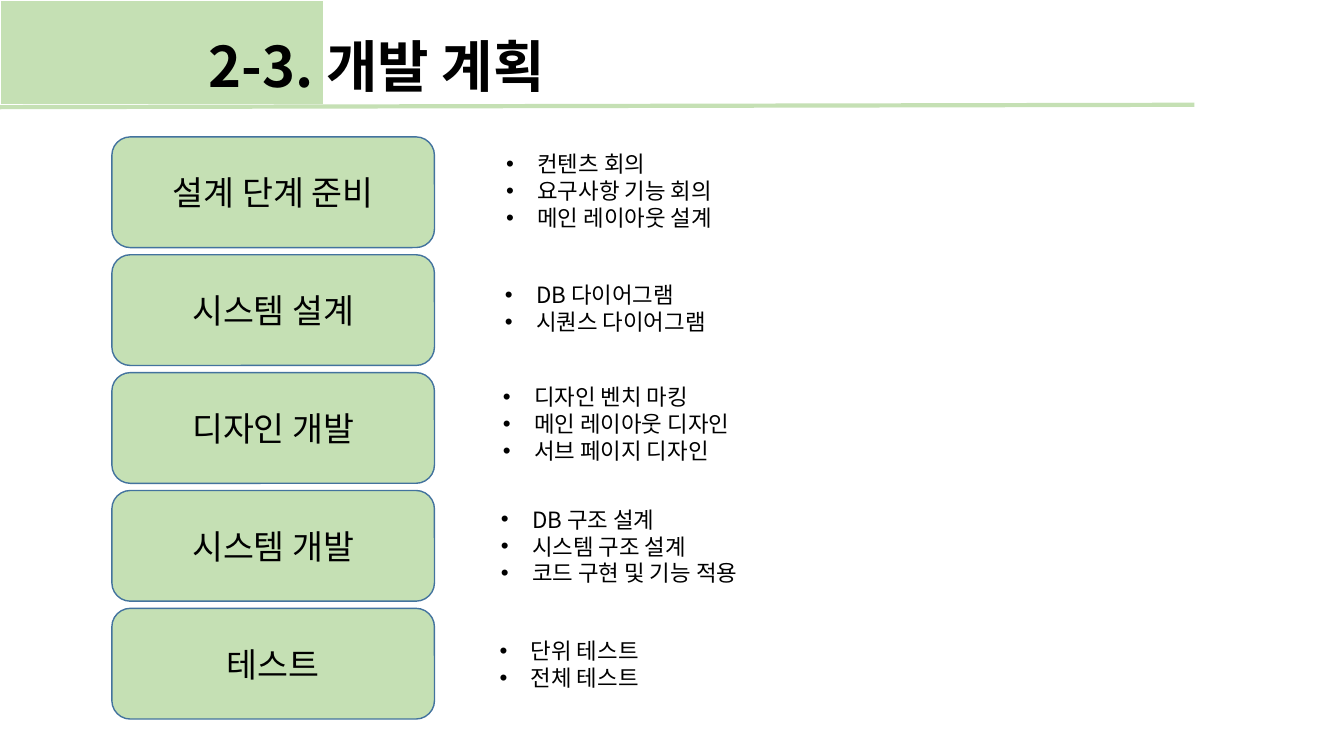
"""Build the development plan slide: five stages, each with its list of tasks."""
import dataclasses

import pptx
import pptx.dml.color
import pptx.enum.shapes
import pptx.enum.text
import pptx.oxml
import pptx.oxml.ns
import pptx.util

Cm = pptx.util.Cm
Pt = pptx.util.Pt
RGBColor = pptx.dml.color.RGBColor
MSO_SHAPE = pptx.enum.shapes.MSO_SHAPE
PP_ALIGN = pptx.enum.text.PP_ALIGN
MSO_ANCHOR = pptx.enum.text.MSO_ANCHOR
MSO_AUTO_SIZE = pptx.enum.text.MSO_AUTO_SIZE


@dataclasses.dataclass(frozen=True)
class Theme:
    font: str = "Noto Sans CJK KR"
    text: RGBColor = RGBColor.from_string("000000")
    accent: RGBColor = RGBColor.from_string("C5E0B4")
    outline: RGBColor = RGBColor.from_string("43739E")
    paper: RGBColor = RGBColor.from_string("FFFFFF")
    title_size: int = 40
    stage_size: int = 24
    task_size: int = 16
    indent: float = 0.79


STAGES = [
    ("설계 단계 준비", 12.5, 3.66, ["컨텐츠 회의", "요구사항 기능 회의", "메인 레이아웃 설계"]),
    ("시스템 설계", 12.47, 6.96, ["DB 다이어그램", "시퀀스 다이어그램"]),
    ("디자인 개발", 12.42, 9.53, ["디자인 벤치 마킹", "메인 레이아웃 디자인", "서브 페이지 디자인"]),
    ("시스템 개발", 12.37, 12.62, ["DB 구조 설계", "시스템 구조 설계", "코드 구현 및 기능 적용"]),
    ("테스트", 12.34, 15.93, ["단위 테스트", "전체 테스트"]),
]


def apply(target, values):
    for name, value in values.items():
        setattr(target, name, value)


class PlanSlide:
    def __init__(self, slide, theme):
        self.slide = slide
        self.shapes = slide.shapes
        self.theme = theme
        self.free_bodies = [p for p in slide.placeholders
                            if 1 <= p.placeholder_format.idx <= 4]

    def place(self, shape, left, top, width, height):
        apply(shape, {"left": Cm(left), "top": Cm(top),
                      "width": Cm(width), "height": Cm(height)})
        self.shapes._spTree.append(shape._element)

    def set_text(self, shape, lines, size, frame_format, bold=False, align=PP_ALIGN.LEFT):
        frame = shape.text_frame
        frame.text = "\n".join(lines)
        apply(frame, frame_format)
        for paragraph in frame.paragraphs:
            apply(paragraph, {"alignment": align, "space_before": Pt(0), "line_spacing": 1.0})
            for run in paragraph.runs:
                apply(run.font, {"name": self.theme.font, "size": Pt(size), "bold": bold})
                run.font.color.rgb = self.theme.text
                east_asian = pptx.oxml.parse_xml(
                    f'<a:ea {pptx.oxml.ns.nsdecls("a")} typeface="{self.theme.font}"/>')
                run.font._element.append(east_asian)

    def block(self, kind, left, top, width, height, outline):
        shape = self.shapes.add_shape(kind, Cm(left), Cm(top), Cm(width), Cm(height))
        shape.shadow.inherit = False
        shape.fill.solid()
        shape.fill.fore_color.rgb = self.theme.accent
        shape.line.color.rgb = outline
        shape.line.width = Pt(1)
        return shape

    def rule(self, start, end, width):
        line = self.shapes.add_connector(
            pptx.enum.shapes.MSO_CONNECTOR.STRAIGHT, *map(Cm, start + end))
        line.line.color.rgb = self.theme.accent
        line.line.width = Pt(width)
        line._element.spPr.append(pptx.oxml.parse_xml(
            f'<a:effectLst {pptx.oxml.ns.nsdecls("a")}/>'))

    def title(self, text, left, top, width, height):
        heading = self.shapes.title
        self.place(heading, left, top, width, height)
        self.set_text(heading, [text], self.theme.title_size,
                      {"word_wrap": False, "vertical_anchor": MSO_ANCHOR.TOP,
                       "auto_size": MSO_AUTO_SIZE.SHAPE_TO_FIT_TEXT}, bold=True)

    def stage(self, text, left, top, width, height):
        box = self.block(MSO_SHAPE.ROUNDED_RECTANGLE, left, top, width, height,
                         self.theme.outline)
        self.set_text(box, [text], self.theme.stage_size,
                      {"word_wrap": True, "vertical_anchor": MSO_ANCHOR.MIDDLE},
                      align=PP_ALIGN.CENTER)

    def tasks(self, lines, left, top, width):
        if self.free_bodies:
            body = self.free_bodies.pop(0)
        else:
            body = self.shapes.add_textbox(0, 0, 0, 0)
        self.place(body, left, top, width, 0.25 + 0.69 * len(lines))
        self.set_text(body, lines, self.theme.task_size,
                      {"word_wrap": True, "vertical_anchor": MSO_ANCHOR.TOP,
                       "auto_size": MSO_AUTO_SIZE.SHAPE_TO_FIT_TEXT})
        for paragraph in body.text_frame.paragraphs:
            properties = paragraph._p.get_or_add_pPr()
            properties.set("marL", str(Cm(self.theme.indent)))
            properties.set("indent", str(-Cm(self.theme.indent)))
            for bullet in ('buFont typeface="Arial"', 'buChar char="•"'):
                tag, attribute = bullet.split(" ")
                properties.append(pptx.oxml.parse_xml(
                    f'<a:{tag} {pptx.oxml.ns.nsdecls("a")} {attribute}/>'))


def main():
    deck = pptx.Presentation()
    apply(deck, {"slide_width": Cm(33.87), "slide_height": Cm(19.05)})
    theme = Theme()
    plan = PlanSlide(deck.slides.add_slide(deck.slide_layouts.get_by_name("Comparison")), theme)
    plan.block(MSO_SHAPE.RECTANGLE, 0, 0, 8.15, 2.64, theme.paper)
    plan.rule((0, 2.7), (30.1, 2.64), 3)
    plan.title("2-3. 개발 계획", 5, 0.66, 9.83, 1.96)
    for row, (stage, left, top, tasks) in enumerate(STAGES):
        plan.stage(stage, 2.82, 3.45 + 2.97 * row, 8.13, 2.79)
        plan.tasks(tasks, left, top, 12.29)
    deck.save("out.pptx")


if __name__ == "__main__":
    main()
